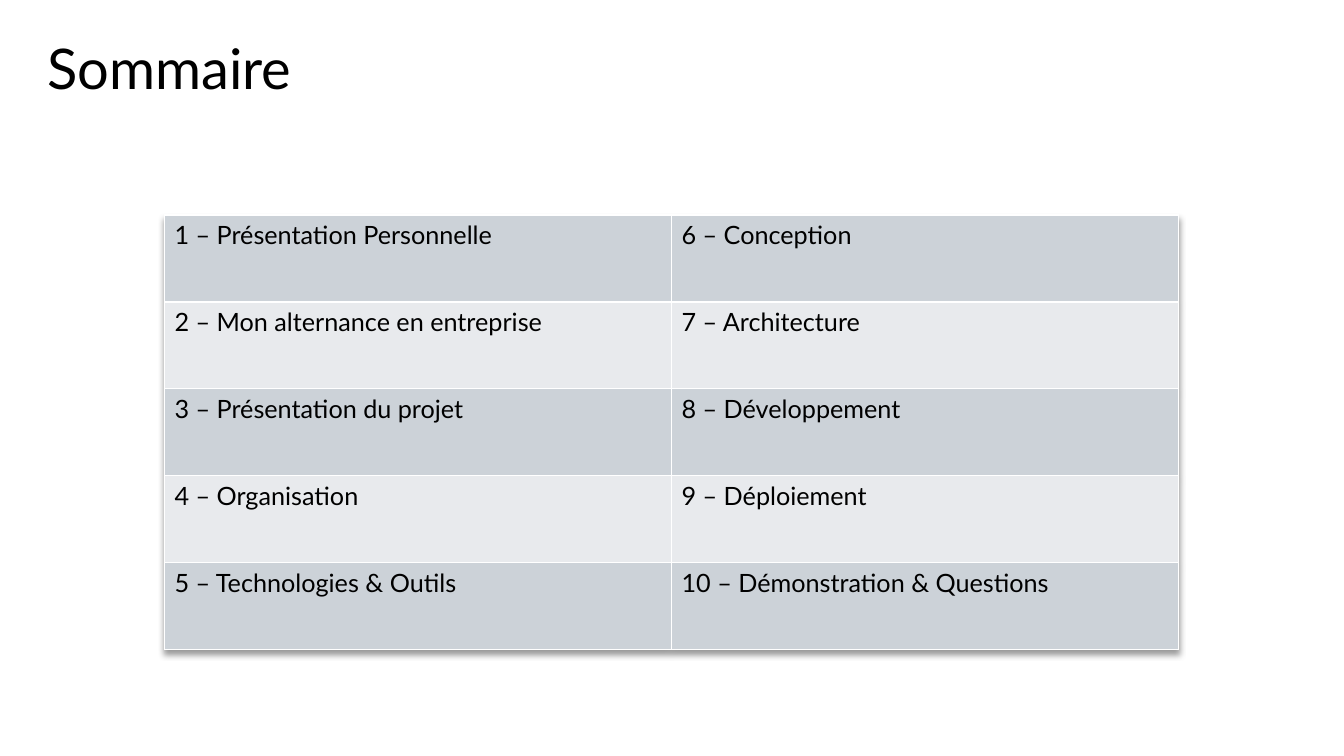
"""Build the "Sommaire" slide: a title above a two-column agenda table."""
from pptx import Presentation
from pptx import oxml
from pptx import util as u
from pptx.dml.color import RGBColor
from pptx.enum import text

COLOURS = {"text": "000000", "odd": "CCD2D8", "even": "E8EAED", "border": "FFFFFF"}
FONT = "Lato"
NAMESPACE = 'xmlns:a="http://schemas.openxmlformats.org/drawingml/2006/main"'
TOPICS = [
    "Présentation Personnelle", "Mon alternance en entreprise",
    "Présentation du projet", "Organisation", "Technologies & Outils",
    "Conception", "Architecture", "Développement", "Déploiement",
    "Démonstration & Questions",
]
ROWS, COLUMNS = 5, 2
ROW_HEIGHT, COLUMN_WIDTH = 62.1, 362.2


def write(para, content, size):
    para.text = content
    para.font.name = FONT
    para.font.size = u.Pt(size)
    para.font.color.rgb = RGBColor.from_string(COLOURS["text"])


deck = Presentation()
deck.slide_width, deck.slide_height = u.Pt(960), u.Pt(540)
page = deck.slides.add_slide(deck.slide_layouts[6])

title = page.shapes.add_textbox(u.Pt(26.9), u.Pt(20.4), u.Pt(293), u.Pt(55.7))
title.text_frame.word_wrap = True
title.text_frame.auto_size = text.MSO_AUTO_SIZE.SHAPE_TO_FIT_TEXT
write(title.text_frame.paragraphs[0], "Sommaire", 40)

frame = page.shapes.add_table(
    ROWS, COLUMNS, u.Pt(117.5), u.Pt(153.6),
    u.Pt(COLUMNS * COLUMN_WIDTH), u.Pt(ROWS * ROW_HEIGHT))
agenda = frame.table
agenda.first_row = False
agenda.horz_banding = False
agenda._tbl.tblPr.insert(0, oxml.parse_xml(
    f'<a:effectLst {NAMESPACE}><a:outerShdw blurRad="50800" dist="38100" dir="5400000" '
    'algn="t" rotWithShape="0"><a:srgbClr val="000000"><a:alpha val="40000"/>'
    '</a:srgbClr></a:outerShdw></a:effectLst>'))
for column in agenda.columns:
    column.width = u.Pt(COLUMN_WIDTH)
for row in agenda.rows:
    row.height = u.Pt(ROW_HEIGHT)

for index, topic in enumerate(TOPICS):
    column_index, row_index = divmod(index, ROWS)
    cell = agenda.cell(row_index, column_index)
    write(cell.text_frame.paragraphs[0], f"{index + 1} – {topic}", 18)
    for side in ("lnL", "lnR", "lnT", "lnB"):
        cell._tc.get_or_add_tcPr().append(oxml.parse_xml(
            f'<a:{side} {NAMESPACE} w="12700"><a:solidFill>'
            f'<a:srgbClr val="{COLOURS["border"]}"/></a:solidFill></a:{side}>'))
    cell.fill.solid()
    band = "even" if row_index % 2 else "odd"
    cell.fill.fore_color.rgb = RGBColor.from_string(COLOURS[band])

deck.save("out.pptx")
